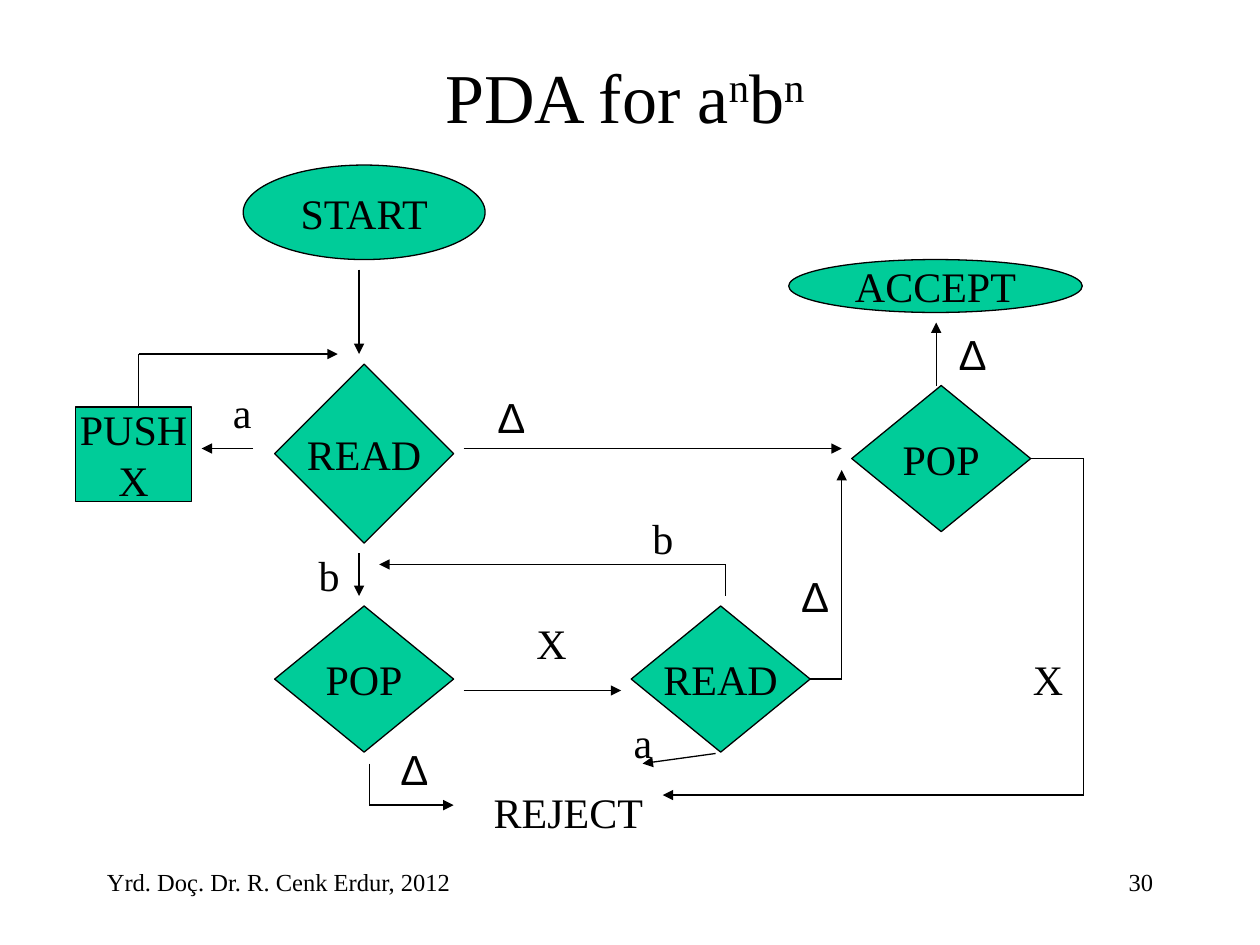
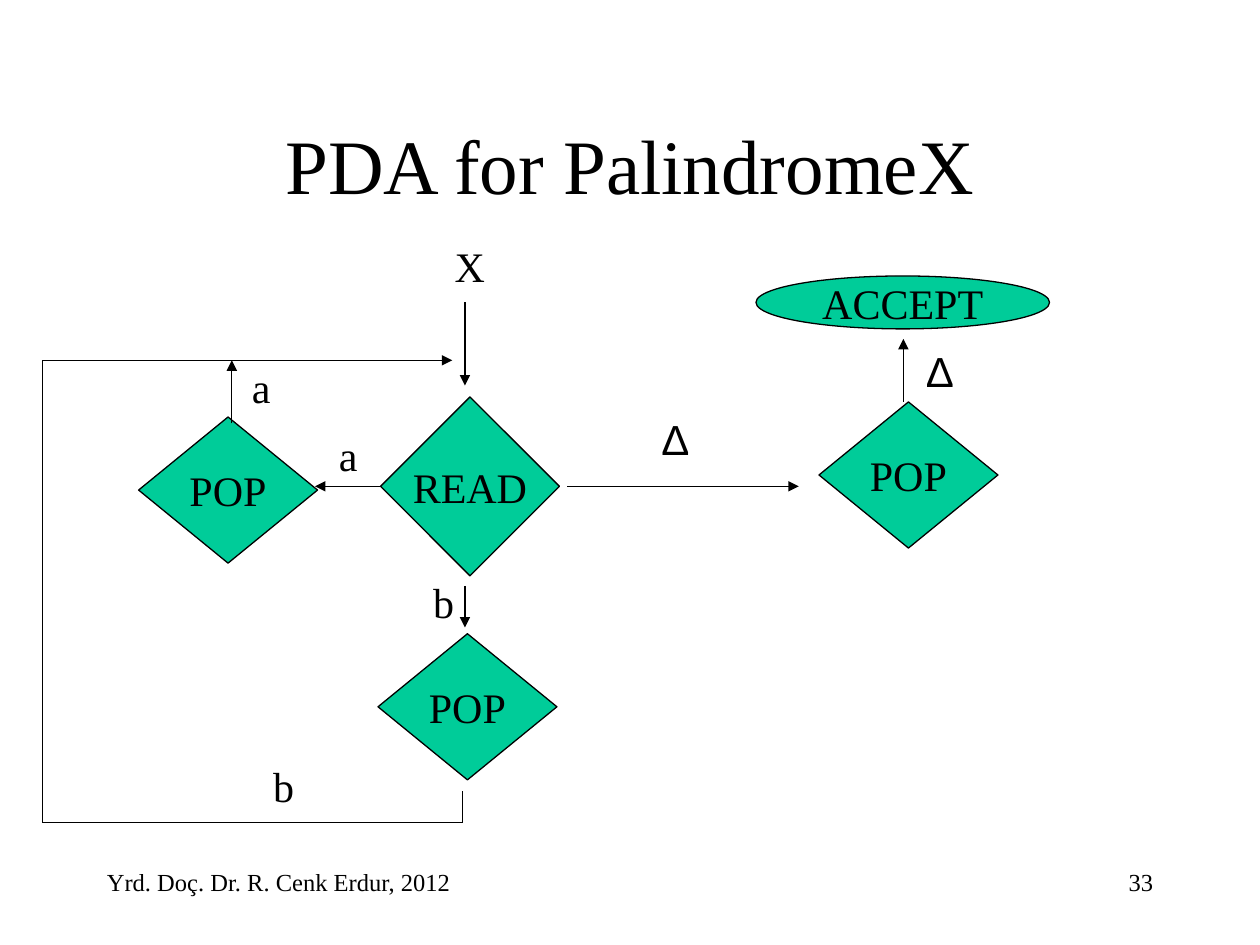
"""Builds two flowchart slides of pushdown automata."""
from itertools import pairwise

from lxml import etree
from pptx import Presentation
from pptx.dml.color import RGBColor
from pptx.enum.shapes import MSO_CONNECTOR, MSO_SHAPE
from pptx.enum.text import MSO_ANCHOR, MSO_AUTO_SIZE, PP_ALIGN
from pptx.oxml.ns import qn
from pptx.util import Inches, Pt

STRAIGHT = MSO_CONNECTOR.STRAIGHT
DIAMOND = MSO_SHAPE.FLOWCHART_DECISION
OVAL = MSO_SHAPE.OVAL
RECTANGLE = MSO_SHAPE.RECTANGLE
MIDDLE = MSO_ANCHOR.MIDDLE
GROW = MSO_AUTO_SIZE.SHAPE_TO_FIT_TEXT
LEFT, CENTER, RIGHT = PP_ALIGN.LEFT, PP_ALIGN.CENTER, PP_ALIGN.RIGHT

BLACK = RGBColor(0x00, 0x00, 0x00)
GREEN = RGBColor(0x00, 0xCC, 0x99)
SERIF, SANS = "Times New Roman", "Arial"
DELTA = "Δ"
TEXT_SIZE, FOOTER_SIZE = 24, 14
LINE_WIDTH = Pt(0.75)
READ_SIZE, POP_SIZE, ACCEPT_SIZE = (1.42, 1.42), (1.42, 1.16), (2.33, 0.42)
LABEL_WIDTHS = {"a": 0.35, "b": 0.36, "X": 0.44, DELTA: 0.4, "REJECT": 1.42}
LEFT_SIDE, RIGHT_SIDE = 1, 3


def add_span(para, text, size, font=SERIF, raised=False):
    """Add one run of black text, as a superscript if raised."""
    span = para.add_run()
    span.text = text
    span.font.size = Pt(size)
    span.font.name = font
    span.font.color.rgb = BLACK
    if raised:
        span.font._element.set("baseline", "30000")


def add_text(page, left, top, width, height, spans, size, align=LEFT):
    """Add a wrapping text box from (text, raised) pairs."""
    box = page.shapes.add_textbox(*map(Inches, (left, top, width, height)))
    box.text_frame.word_wrap = True
    para = box.text_frame.paragraphs[0]
    para.alignment = align
    for text, raised in spans:
        add_span(para, text, size, raised=raised)
    return box


def add_title(page, top, height, spans, size):
    """Add the centred slide title."""
    box = add_text(page, 0.75, top, 8.5, height, spans, size, CENTER)
    box.text_frame.vertical_anchor = MIDDLE


def add_footer(page, number):
    """Add the author line and the page number."""
    author = [("Yrd. Doç. Dr. R. Cenk Erdur, 2012", False)]
    add_text(page, 0.75, 6.83, 5.83, 0.5, author, FOOTER_SIZE)
    add_text(page, 7.17, 6.83, 2.08, 0.5, [(number, False)], FOOTER_SIZE, RIGHT)


def add_node(page, kind, left, top, size, *lines):
    """Add a green flowchart node with one paragraph per line."""
    node = page.shapes.add_shape(kind, *map(Inches, (left, top, *size)))
    node.shadow.inherit = False
    node.fill.solid()
    node.fill.fore_color.rgb = GREEN
    node.line.color.rgb = BLACK
    node.line.width = LINE_WIDTH
    frame = node.text_frame
    frame.word_wrap = False
    frame.vertical_anchor = MIDDLE
    for index, line in enumerate(lines):
        para = frame.add_paragraph() if index else frame.paragraphs[0]
        para.alignment = CENTER
        add_span(para, line, TEXT_SIZE)
    return node


def add_read(page, left, top, size=READ_SIZE):
    """Add a READ diamond."""
    return add_node(page, DIAMOND, left, top, size, "READ")


def add_pop(page, left, top):
    """Add a POP diamond."""
    return add_node(page, DIAMOND, left, top, POP_SIZE, "POP")


def add_accepting_pop(page, left, top):
    """Add a POP diamond with ACCEPT above it and the arrow between them."""
    pop = add_pop(page, left, top)
    add_node(page, OVAL, left - 0.5, top - 1, ACCEPT_SIZE, "ACCEPT")
    add_route(page, (left + 0.67, top), (left + 0.67, top - 0.5))
    add_label(page, DELTA, left + 0.75, top - 0.5)
    return pop


def add_label(page, text, left, top):
    """Add the label of a transition."""
    size = (LABEL_WIDTHS[text], 0.5)
    box = page.shapes.add_textbox(*map(Inches, (left, top, *size)))
    frame = box.text_frame
    frame.word_wrap = False
    frame.auto_size = GROW
    font = SANS if text == DELTA else SERIF
    add_span(frame.paragraphs[0], text, TEXT_SIZE, font)


def add_route(page, *points, node=None, side=RIGHT_SIDE):
    """Draw lines through the points, with an arrowhead on the last one."""
    for index, (start, end) in enumerate(pairwise(points)):
        line = page.shapes.add_connector(STRAIGHT, *map(Inches, start + end))
        line.line.color.rgb = BLACK
        line.line.width = LINE_WIDTH
        properties = line._element.spPr
        etree.SubElement(properties, qn("a:effectLst"))
        if index == 0 and node is not None:
            line.begin_connect(node, side)
        if index == len(points) - 2:
            outline = properties.find(qn("a:ln"))
            etree.SubElement(outline, qn("a:tailEnd"), type="triangle")


def build_equal_counts(page):
    """Draw the automaton for equal counts of a and b."""
    add_footer(page, "30")
    title = [("PDA for a", False), ("n", True), ("b", False), ("n ", True)]
    add_title(page, 0.36, 0.79, title, 40)

    add_node(page, OVAL, 1.93, 1.31, (1.92, 0.75), "START")
    add_node(page, RECTANGLE, 0.6, 3.23, (0.92, 0.75), "PUSH", "X")
    add_read(page, 2.18, 2.89)
    add_pop(page, 2.18, 4.81)
    second_read = add_read(page, 5.01, 4.81, POP_SIZE)
    last_pop = add_accepting_pop(page, 6.76, 3.06)

    add_route(page, (2.85, 2.14), (2.85, 2.81))
    add_route(page, (2.01, 3.56), (1.6, 3.56))
    add_route(page, (1.1, 3.23), (1.1, 2.81), (2.68, 2.81))
    add_route(page, (3.68, 3.56), (6.68, 3.56))
    add_route(page, (2.85, 4.39), (2.85, 4.73))
    add_route(page, (3.68, 5.48), (4.93, 5.48))
    add_route(page, (5.76, 4.73), (5.76, 4.48), (3.01, 4.48))
    add_route(page, (2.93, 6.06), (2.93, 6.39), (3.6, 6.39))
    add_route(page, (5.68, 5.98), (5.1, 6.06))
    add_route(page, (6.43, 5.39), (6.68, 5.39), (6.68, 3.73), node=second_read)
    add_route(page, (8.18, 3.64), (8.6, 3.64), (8.6, 6.31), (5.26, 6.31),
              node=last_pop)

    for text, left, top in [
        ("a", 1.75, 3.02), ("b", 2.43, 4.31), ("X", 4.16, 4.85),
        ("b", 5.08, 4.02), ("REJECT", 3.82, 6.19), (DELTA, 3.08, 5.85),
        ("a", 4.93, 5.64), (DELTA, 3.85, 3.06), (DELTA, 6.26, 4.48),
        ("X", 8.1, 5.14),
    ]:
        add_label(page, text, left, top)


def build_palindrome(page):
    """Draw the automaton for PalindromeX."""
    add_footer(page, "33")
    add_title(page, 0.67, 1.25, [("PDA for PalindromeX", False)], 44)

    read = add_read(page, 3.02, 3.15)
    add_pop(page, 1.1, 3.31)
    add_pop(page, 3, 5.03)
    add_accepting_pop(page, 6.5, 3.19)

    add_route(page, (3.69, 2.4), (3.69, 3.06))
    add_route(page, (3.02, 3.86), (2.5, 3.86), node=read, side=LEFT_SIDE)
    add_route(page, (3.69, 4.65), (3.69, 4.98))
    add_route(page, (1.84, 3.36), (1.84, 2.86))
    add_route(page, (3.67, 6.28), (3.67, 6.53), (0.34, 6.53), (0.34, 2.86),
              (3.59, 2.86))
    add_route(page, (4.5, 3.86), (6.34, 3.86))

    for text, left, top in [
        ("a", 2.59, 3.36), ("X", 3.51, 1.86), ("b", 3.34, 4.53),
        ("a", 1.9, 2.82), ("b", 2.07, 5.99), (DELTA, 5.15, 3.23),
    ]:
        add_label(page, text, left, top)


def main():
    """Build and save the deck."""
    deck = Presentation()
    deck.slide_width, deck.slide_height = Inches(10), Inches(7.5)
    blank = deck.slide_layouts[6]
    for build in (build_equal_counts, build_palindrome):
        build(deck.slides.add_slide(blank))
    deck.save("out.pptx")


if __name__ == "__main__":
    main()
